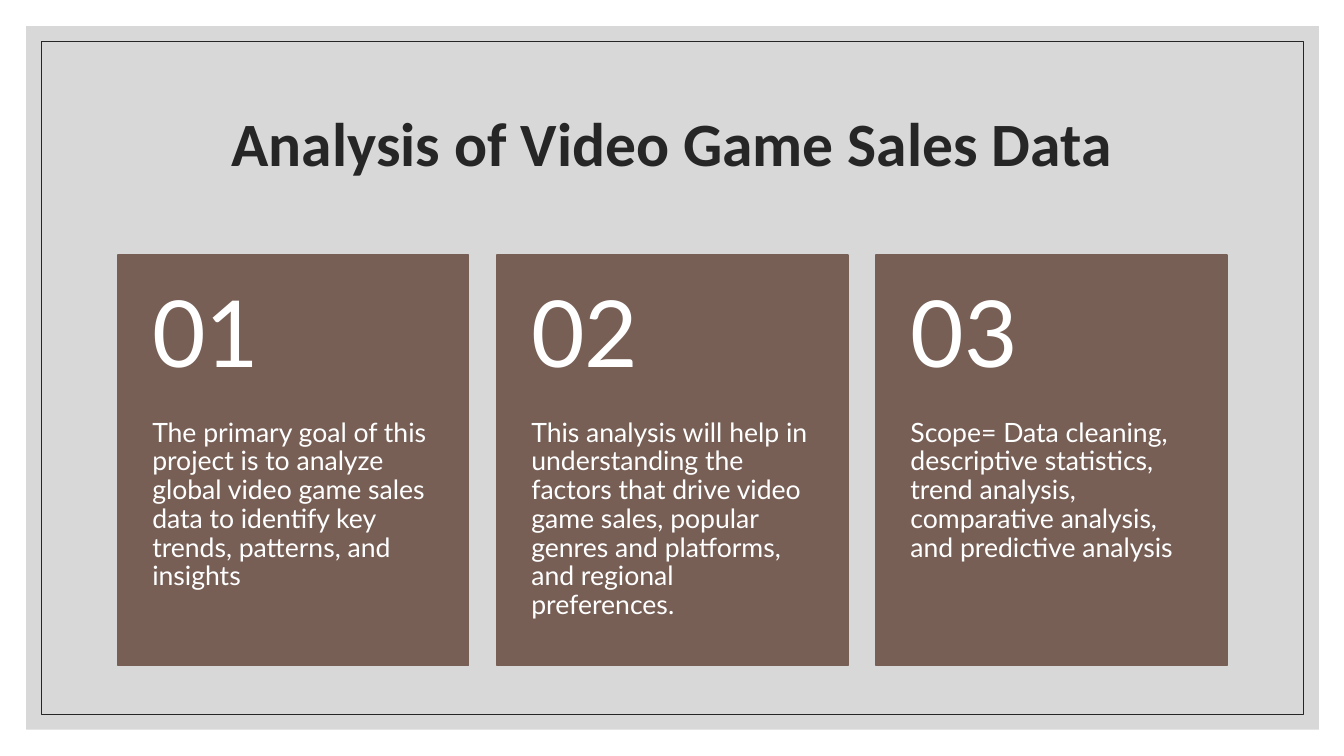
from lxml import etree
from pptx import Presentation
from pptx.dml.color import RGBColor
from pptx.enum import shapes, text
from pptx.oxml import ns
from pptx.util import Inches, Pt

INK, BROWN, GREY, WHITE = "262626", "775F55", "BFBFBF", "FFFFFF"
LEFT, TOP, WIDE, STEP = 1.17, 2.53, 3.48, 3.76
HEAD, BODY = 1.63, 2.44
CARDS = [
    "The primary goal of this project is to analyze global video game sales "
    "data to identify key trends, patterns, and insights",
    "This analysis will help in understanding the factors that drive video "
    "game sales, popular genres and platforms, and regional preferences.",
    "Scope= Data cleaning, descriptive statistics, trend analysis, "
    "comparative analysis, and predictive analysis",
]


def color(code):
    return RGBColor.from_string(code)


def place(shape, box):
    shape.left, shape.top, shape.width, shape.height = map(Inches, box)


def add_rect(slide, box, fill=None, line=None, width=1, alpha=None):
    rect = slide.shapes.add_shape(shapes.MSO_SHAPE.RECTANGLE, *map(Inches, box))
    rect.shadow.inherit = False
    if fill:
        rect.fill.solid()
        rect.fill.fore_color.rgb = color(fill)
    else:
        rect.fill.background()
    if alpha:
        tint = rect.fill._xPr.find(".//" + ns.qn("a:srgbClr"))
        etree.SubElement(tint, ns.qn("a:alpha"), val=str(alpha * 1000))
    if line:
        rect.line.color.rgb = color(line)
        rect.line.width = Pt(width)
    else:
        rect.line.fill.background()


def set_text(shape, words, size, font, ink, align, anchor, bold=False):
    frame = shape.text_frame
    frame.text = words
    frame.word_wrap = True
    frame.auto_size = text.MSO_AUTO_SIZE.NONE
    frame.vertical_anchor = anchor
    para = frame.paragraphs[0]
    para.alignment = align
    para.line_spacing = 0.9
    para.space_before = Pt(0)
    para.font.size = Pt(size)
    para.font.name = font
    para.font.bold = bold
    para.font.color.rgb = color(ink)


def add_label(slide, box, words, size, anchor, above, below):
    label = slide.shapes.add_textbox(*map(Inches, box))
    set_text(label, words, size, "Lato", WHITE, text.PP_ALIGN.LEFT, anchor)
    frame = label.text_frame
    frame.margin_left = frame.margin_right = Inches(0.34)
    frame.margin_top, frame.margin_bottom = Inches(above), Inches(below)


def add_title(slide, words):
    title = slide.shapes.title
    place(title, (1.17, 0.7, 11, 1.5))
    set_text(title, words, 44, "Calibri", INK, text.PP_ALIGN.CENTER,
             text.MSO_ANCHOR.MIDDLE, bold=True)
    # Bring the title in front of the panel
    slide.shapes._spTree.append(title._element)


def add_card(slide, index, words):
    left = LEFT + index * STEP
    add_rect(slide, (left, TOP, WIDE, HEAD + BODY), BROWN, BROWN)
    add_label(slide, (left, TOP + HEAD, WIDE, BODY), words, 19,
              text.MSO_ANCHOR.TOP, 0, 0.36)
    add_label(slide, (left, TOP, WIDE, HEAD), f"{index + 1:02}", 66,
              text.MSO_ANCHOR.MIDDLE, 0.18, 0.18)


def main():
    deck = Presentation()
    deck.slide_width, deck.slide_height = Inches(13.33), Inches(7.5)
    slide = deck.slides.add_slide(deck.slide_layouts[5])

    # Panel and thin frame
    add_rect(slide, (0.26, 0.26, 12.82, 6.98), GREY, alpha=60)
    add_rect(slide, (0.41, 0.41, 12.52, 6.68), line=INK, width=0.5)

    # Title and numbered cards
    add_title(slide, "Analysis of Video Game Sales Data")
    for index, words in enumerate(CARDS):
        add_card(slide, index, words)

    deck.save("out.pptx")


if __name__ == "__main__":
    main()
